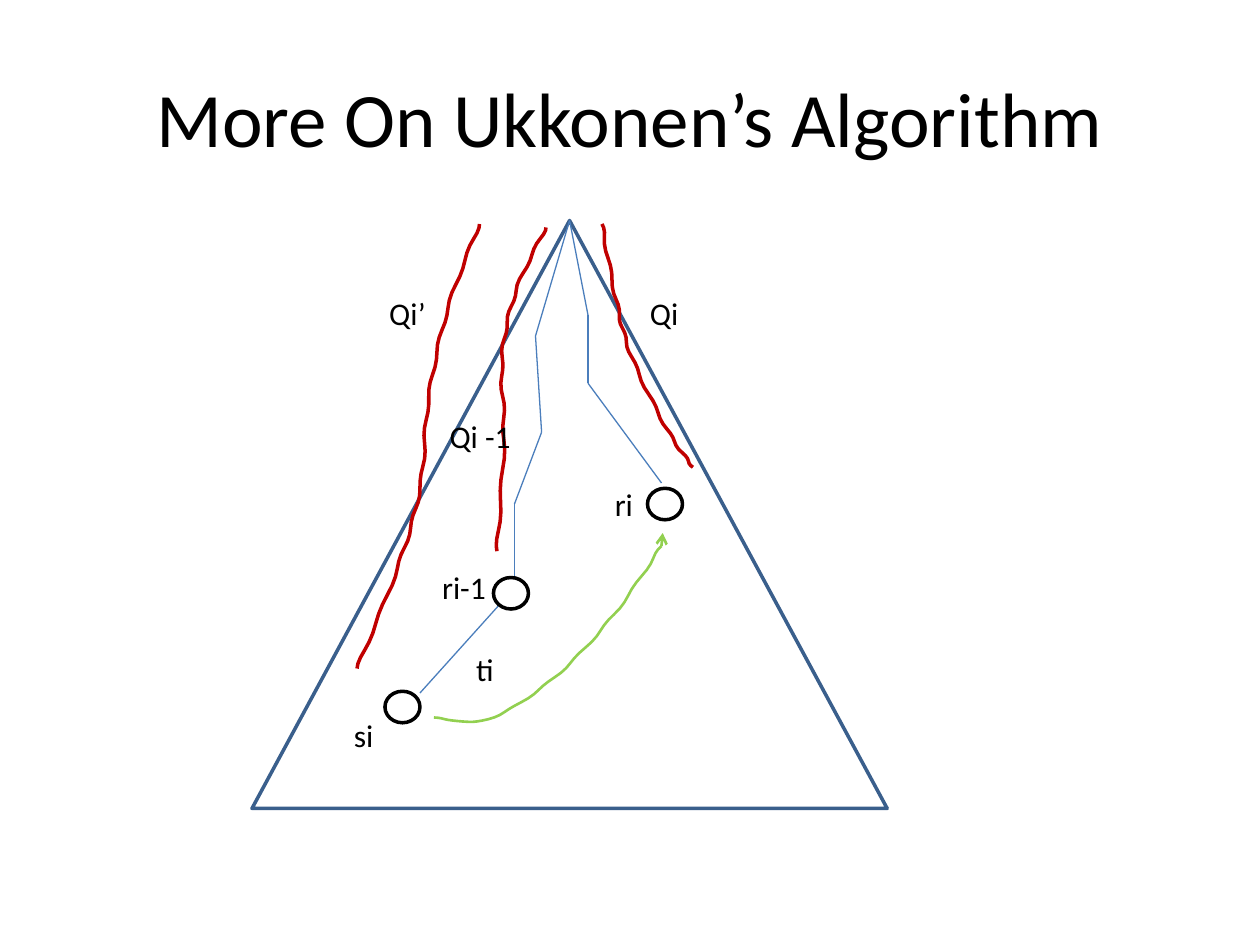
from dataclasses import dataclass
from itertools import pairwise
from math import pi, sin

from lxml import etree
from pptx import Presentation
from pptx.dml.color import RGBColor
from pptx.enum.shapes import MSO_CONNECTOR, MSO_SHAPE
from pptx.enum.text import MSO_ANCHOR, MSO_AUTO_SIZE, PP_ALIGN
from pptx.oxml.ns import qn
from pptx.util import Pt

STRAIGHT = MSO_CONNECTOR.STRAIGHT
TRIANGLE = MSO_SHAPE.ISOSCELES_TRIANGLE
OVAL = MSO_SHAPE.OVAL
MIDDLE = MSO_ANCHOR.MIDDLE
CENTER = PP_ALIGN.CENTER
FIT_SHAPE = MSO_AUTO_SIZE.SHAPE_TO_FIT_TEXT

BLACK = RGBColor(0x00, 0x00, 0x00)
WHITE = RGBColor(0xFF, 0xFF, 0xFF)
TREE_BLUE = RGBColor(0x3A, 0x5F, 0x8C)
EDGE_BLUE = RGBColor(0x4B, 0x7E, 0xBC)
PATH_RED = RGBColor(0xC0, 0x00, 0x00)
LINK_GREEN = RGBColor(0x92, 0xD0, 0x50)

FONT = "Calibri"
LABEL_HEIGHT = 28.8
NODE_WIDTH, NODE_HEIGHT = 20, 18
STEPS_PER_SPAN = 12
STEPS_PER_WAVE = 6
WAVE_HEIGHT = 0.7


@dataclass
class Label:
    text: str
    left: float
    top: float
    width: float


@dataclass
class Node:
    center: tuple
    label: Label


@dataclass
class Stroke:
    anchors: list
    label: Label


ROOT = (181.5, 0)
PATH_TO_S = [ROOT, (162, 66), (165.5, 121), (150, 162), (150, 210), (96, 270)]
PATH_TO_R = [ROOT, (192, 54), (192, 93), (234, 150)]

NODES = [
    Node((148, 213), Label("ri-1", 101.5, 195.1, 39.6)),
    Node((86, 278), Label("si", 51.1, 279.4, 25.9)),
    Node((236, 162), Label("ri", 200.2, 147.6, 25.2)),
]
STROKES = [
    Stroke([(200, 2), (208, 45), (217, 78), (237, 119), (252, 141)],
           Label("Qi", 220.3, 38.2, 31)),
    Stroke([(168, 4), (151, 40), (143, 78), (144, 126), (140, 189)],
           Label("Qi -1", 105.8, 108.7, 49.7)),
    Stroke([(130, 2), (112, 50), (101, 101), (96, 153), (83, 199), (60, 256)],
           Label("Qi’", 71.3, 38.2, 36)),
]
SUFFIX_LINK = Stroke([(104, 284), (135, 285), (173, 261), (207, 225), (234, 186)],
                     Label("ti", 121, 241.9, 24.5))
LINK_TIP = (234.7, 178.6)


def spline_value(before, start, end, after, t):
    slope = end - before
    bend = 2 * before - 5 * start + 4 * end - after
    twist = 3 * (start - end) + after - before
    return start + (slope * t + bend * t ** 2 + twist * t ** 3) / 2


def hand_drawn(anchors):
    padded = [anchors[0], *anchors, anchors[-1]]
    points = []
    for span in zip(padded, padded[1:], padded[2:], padded[3:]):
        xs, ys = zip(*span)
        for step in range(STEPS_PER_SPAN):
            t = step / STEPS_PER_SPAN
            wave = WAVE_HEIGHT * sin(2 * pi * step / STEPS_PER_WAVE)
            points.append((spline_value(*xs, t) + wave, spline_value(*ys, t)))
    return [*points, anchors[-1]]


def add_run(paragraph, text, size):
    run = paragraph.add_run()
    run.text = text
    run.font.name = FONT
    run.font.size = Pt(size)
    run.font.color.rgb = BLACK


def set_outline(shape, color, width):
    shape.line.color.rgb = color
    shape.line.width = Pt(width)


def add_preset(slide, preset, left, top, width, height, color):
    shape = slide.shapes.add_shape(preset, Pt(left), Pt(top), Pt(width), Pt(height))
    shape.shadow.inherit = False
    set_outline(shape, color, 2)
    return shape


def add_line(slide, start, end, color, width):
    connector = slide.shapes.add_connector(
        STRAIGHT, Pt(start[0]), Pt(start[1]), Pt(end[0]), Pt(end[1])
    )
    set_outline(connector, color, width)
    etree.SubElement(connector._element.spPr, qn("a:effectLst"))
    return connector


def add_stroke(slide, anchors, color, width):
    first, *others = [(Pt(x), Pt(y)) for x, y in hand_drawn(anchors)]
    builder = slide.shapes.build_freeform(*first)
    builder.add_line_segments(others, close=False)
    shape = builder.convert_to_shape()
    shape.shadow.inherit = False
    shape.fill.background()
    set_outline(shape, color, width)


def add_label(slide, label, left, top):
    box = slide.shapes.add_textbox(
        Pt(left + label.left), Pt(top + label.top), Pt(label.width), Pt(LABEL_HEIGHT)
    )
    box.text_frame.word_wrap = False
    box.text_frame.auto_size = FIT_SHAPE
    add_run(box.text_frame.paragraphs[0], label.text, 18)


def add_node(slide, center_x, center_y):
    node = add_preset(slide, OVAL, center_x - NODE_WIDTH / 2,
                      center_y - NODE_HEIGHT / 2, NODE_WIDTH, NODE_HEIGHT, BLACK)
    node.fill.solid()
    node.fill.fore_color.rgb = WHITE


def add_title(slide, left, top, width, height):
    title = slide.shapes.title
    title.left, title.top = Pt(left), Pt(top)
    title.width, title.height = Pt(width), Pt(height)
    title.text_frame.vertical_anchor = MIDDLE
    paragraph = title.text_frame.paragraphs[0]
    paragraph.alignment = CENTER
    add_run(paragraph, "More On Ukkonen’s Algorithm", 44)


def add_suffix_tree(slide, left, top, width, height):
    def place(points):
        return [(left + x, top + y) for x, y in points]

    add_preset(slide, TRIANGLE, left, top, width, height, TREE_BLUE).fill.background()

    for tree_path in (PATH_TO_S, PATH_TO_R):
        for start, end in pairwise(place(tree_path)):
            add_line(slide, start, end, EDGE_BLUE, 0.75)

    for center in place(node.center for node in NODES):
        add_node(slide, *center)

    add_stroke(slide, place(SUFFIX_LINK.anchors), LINK_GREEN, 1.5)
    arrow = add_line(slide, *place([SUFFIX_LINK.anchors[-1], LINK_TIP]), LINK_GREEN, 1.5)
    etree.SubElement(arrow.line._get_or_add_ln(), qn("a:tailEnd"), type="arrow")

    for stroke in STROKES:
        add_stroke(slide, place(stroke.anchors), PATH_RED, 2)

    for part in (*NODES, SUFFIX_LINK, *STROKES):
        add_label(slide, part.label, left, top)


def main():
    presentation = Presentation()
    presentation.slide_width = Pt(720)
    presentation.slide_height = Pt(540)
    slide = presentation.slides.add_slide(presentation.slide_layouts[5])
    add_title(slide, 36, 21.6, 648, 90)
    add_suffix_tree(slide, 144, 126, 363, 336)
    presentation.save("out.pptx")


if __name__ == "__main__":
    main()
